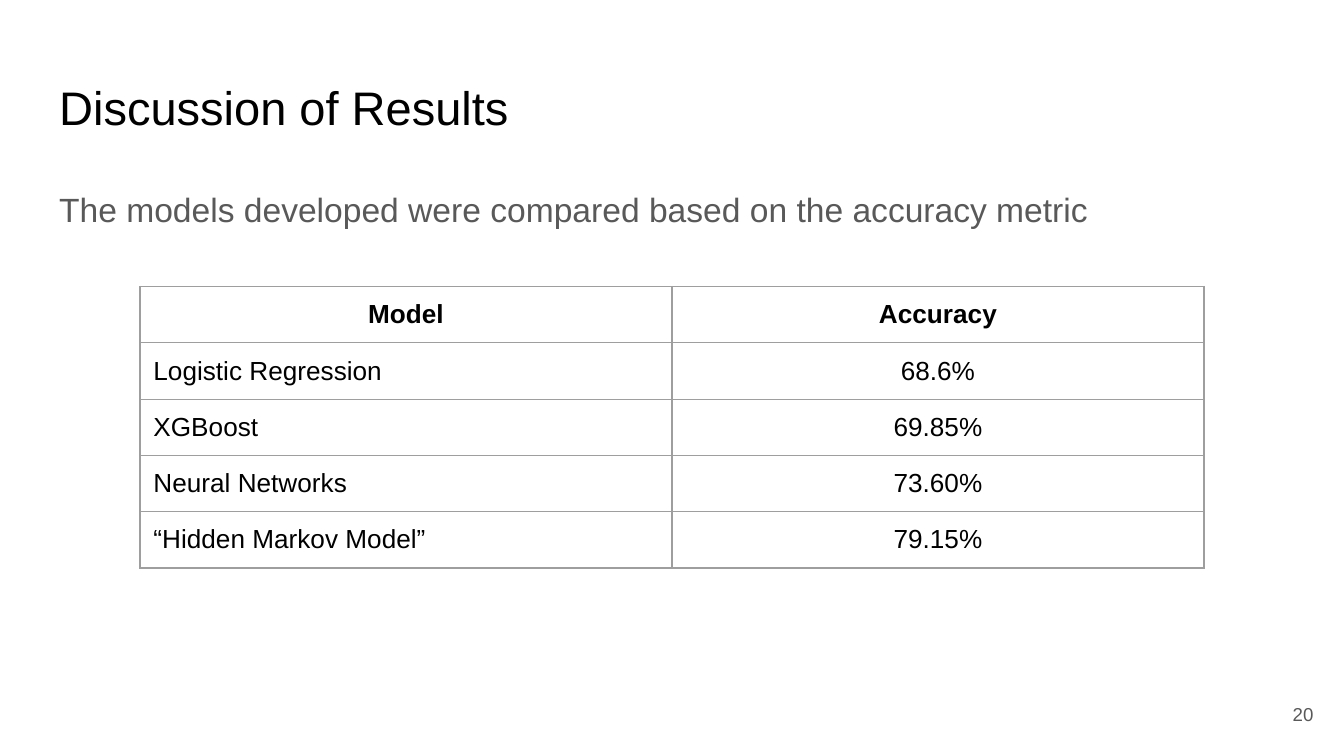
from lxml.etree import SubElement
from pptx import Presentation
from pptx.dml.color import RGBColor
from pptx.enum.text import MSO_ANCHOR, MSO_AUTO_SIZE, PP_ALIGN
from pptx.oxml.ns import qn
from pptx.util import Pt

BLACK = RGBColor(0x00, 0x00, 0x00)
GRAY = RGBColor(0x59, 0x59, 0x59)
BORDER = "9E9E9E"
INSET = Pt(7.2)

ROWS = [
    ("Model", "Accuracy"),
    ("Logistic Regression", "68.6%"),
    ("XGBoost", "69.85%"),
    ("Neural Networks", "73.60%"),
    ("“Hidden Markov Model”", "79.15%"),
]


def set_attributes(target, values):
    for name, value in values.items():
        setattr(target, name, value)


def write_text(frame, text, size, color, bold=False, **paragraph_format):
    frame.text = text
    paragraph = frame.paragraphs[0]
    set_attributes(paragraph, {"alignment": PP_ALIGN.LEFT, "space_before": Pt(0),
                               **paragraph_format})
    font = paragraph.runs[0].font
    set_attributes(font, {"name": "Arial", "size": Pt(size), "bold": bold})
    font.color.rgb = color
    return paragraph


def place_text(shape, box, anchor=MSO_ANCHOR.TOP):
    """Set the box, insets and anchor of a text shape and return its frame."""
    set_attributes(shape, dict(zip(("left", "top", "width", "height"), map(Pt, box))))
    frame = shape.text_frame
    set_attributes(frame, {
        "margin_left": INSET, "margin_right": INSET,
        "margin_top": INSET, "margin_bottom": INSET,
        "word_wrap": True, "auto_size": MSO_AUTO_SIZE.NONE, "vertical_anchor": anchor,
    })
    return frame


def add_title(slide, box):
    write_text(place_text(slide.shapes.title, box), "Discussion of Results", 25.2, BLACK)


def add_body(slide, box):
    frame = place_text(slide.placeholders[1], box)
    paragraph = write_text(
        frame, "The models developed were compared based on the accuracy metric",
        18, GRAY, line_spacing=1.15, space_after=Pt(12))
    properties = paragraph._p.get_or_add_pPr()
    properties.set("marL", "0")
    properties.set("indent", "0")
    SubElement(properties, qn("a:buNone"))


def add_cell_borders(cell):
    properties = cell._tc.get_or_add_tcPr()
    for position, side in enumerate(("a:lnL", "a:lnR", "a:lnT", "a:lnB")):
        line = properties.makeelement(qn(side), {"w": str(Pt(0.75))})
        fill = SubElement(line, qn("a:solidFill"))
        SubElement(fill, qn("a:srgbClr"), val=BORDER)
        properties.insert(position, line)


def add_accuracy_table(slide, box):
    left, top, width, height = map(Pt, box)
    table = slide.shapes.add_table(len(ROWS), len(ROWS[0]), left, top, width, height).table
    set_attributes(table, {"first_row": False, "horz_banding": False})
    for row_index, row in enumerate(ROWS):
        for column_index, text in enumerate(row):
            cell = table.cell(row_index, column_index)
            set_attributes(cell, {
                "margin_left": INSET, "margin_right": INSET,
                "margin_top": INSET, "margin_bottom": INSET,
            })
            is_header = row_index == 0
            centered = is_header or column_index == 1
            write_text(cell.text_frame, text, 14, BLACK, is_header,
                       alignment=PP_ALIGN.CENTER if centered else PP_ALIGN.LEFT)
            cell.fill.background()
            add_cell_borders(cell)


def add_slide_number(slide, box):
    shape = slide.shapes.add_textbox(*map(Pt, box))
    frame = place_text(shape, box, MSO_ANCHOR.MIDDLE)
    write_text(frame, "20", 10, GRAY, alignment=PP_ALIGN.RIGHT)


def main():
    presentation = Presentation()
    set_attributes(presentation, {"slide_width": Pt(720), "slide_height": Pt(405)})
    slide = presentation.slides.add_slide(presentation.slide_layouts[1])
    add_title(slide, (24.5, 35, 671, 45))
    add_body(slide, (24.5, 90.75, 671, 269))
    add_accuracy_table(slide, (75, 153.5, 570, 150.5))
    add_slide_number(slide, (667.5, 367.2, 43.2, 31))
    presentation.save("out.pptx")


if __name__ == "__main__":
    main()
